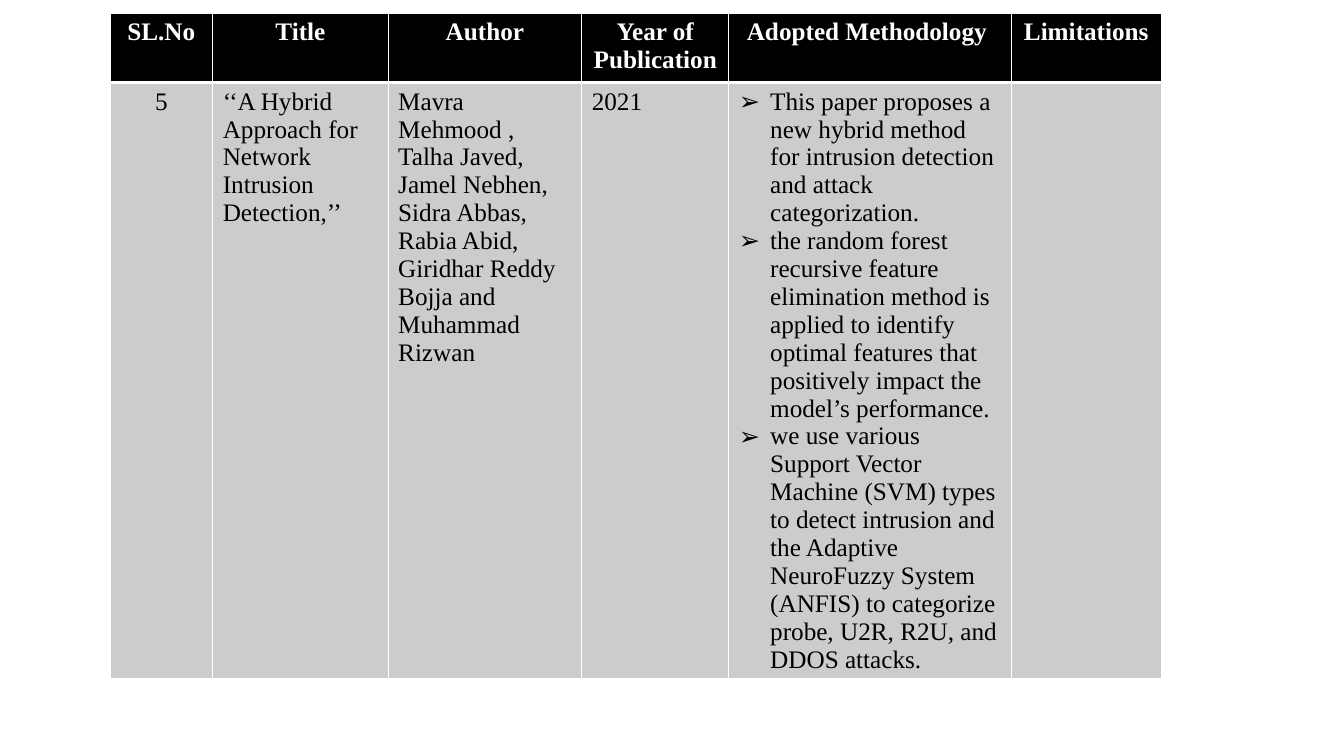
from lxml.etree import SubElement
from pptx import Presentation
from pptx.dml.color import RGBColor
from pptx.enum.text import PP_ALIGN as Align
from pptx.oxml import parse_xml
from pptx.oxml.ns import nsdecls, qn
from pptx.util import Inches, Pt

FONT = "Times New Roman"
COLUMN_WIDTHS = [1.02, 1.74, 1.92, 1.46, 2.8, 1.49]
ROW_HEIGHTS = [0.69, 5.9]
HEADINGS = ["SL.No", "Title", "Author", "Year of Publication",
            "Adopted Methodology ", "Limitations"]
METHODS = [
    "This paper proposes a new hybrid method for intrusion detection and "
    "attack categorization.",
    "the random forest recursive feature elimination method is applied to "
    "identify optimal features that positively impact the model’s performance. ",
    "we use various Support Vector Machine (SVM) types to detect intrusion and "
    "the Adaptive NeuroFuzzy System (ANFIS) to categorize probe, U2R, R2U, and "
    "DDOS attacks. ",
]
PAPER = [
    "5",
    "‘‘A Hybrid Approach for Network Intrusion Detection,’’ ",
    "Mavra Mehmood , Talha Javed, Jamel Nebhen, Sidra Abbas, Rabia Abid, "
    "Giridhar Reddy Bojja and Muhammad Rizwan",
    "2021 ",
    "\n".join(METHODS),
    "",
]


def color(hex_text):
    """Turn a hex string into a colour."""
    return RGBColor.from_string(hex_text)


def add_borders(cell, bottom):
    """Draw white cell borders, with the given bottom width in points."""
    tcPr = cell._tc.get_or_add_tcPr()
    for i, (side, width) in enumerate(zip("LRTB", (1, 1, 1, bottom))):
        tcPr.insert(i, parse_xml(
            f'<a:ln{side} {nsdecls("a")} w="{Pt(width)}"><a:solidFill>'
            f'<a:srgbClr val="FFFFFF"/></a:solidFill></a:ln{side}>'))


def add_bullet(p):
    """Give a paragraph an arrow bullet and a hanging indent."""
    pPr = p._p.get_or_add_pPr()
    pPr.set("marL", str(Inches(0.31)))
    pPr.set("indent", str(-Inches(0.31)))
    SubElement(pPr, qn("a:buFont"), typeface="Arial")
    SubElement(pPr, qn("a:buChar"), char="➢")


def fill_cell(cell, text, header, centered, bulleted):
    """Write and style one table cell."""
    cell.fill.solid()
    cell.fill.fore_color.rgb = color("000000" if header else "CCCCCC")
    add_borders(cell, bottom=3 if header else 1)
    cell.text_frame.text = text
    for p in cell.text_frame.paragraphs:
        p.alignment = Align.CENTER if centered else Align.LEFT
        if bulleted:
            add_bullet(p)
        for r in p.runs:
            r.font.name, r.font.size, r.font.bold = FONT, Pt(18), header
            r.font.color.rgb = color("FFFFFF" if header else "000000")


def add_survey_table(s, left, top, width, height):
    """Add the literature survey table, scaled to the given box."""
    rows = [HEADINGS, PAPER]
    table = s.shapes.add_table(len(rows), len(HEADINGS), Inches(left),
                               Inches(top), Inches(width), Inches(height)).table
    for column, share in zip(table.columns, COLUMN_WIDTHS):
        column.width = Inches(width * share / sum(COLUMN_WIDTHS))
    for row, share in zip(table.rows, ROW_HEIGHTS):
        row.height = Inches(height * share / sum(ROW_HEIGHTS))
    for i, texts in enumerate(rows):
        for j, text in enumerate(texts):
            header = i == 0
            fill_cell(table.cell(i, j), text, header,
                      centered=header or j == 0,
                      bulleted=not header and j == 4)


def main():
    """Build and save the slide."""
    prs = Presentation()
    prs.slide_width, prs.slide_height = Inches(13.33), Inches(7.5)
    s = prs.slides.add_slide(prs.slide_layouts[6])
    add_survey_table(s, 1.09, 0.13, sum(COLUMN_WIDTHS), sum(ROW_HEIGHTS))
    prs.save("out.pptx")


main()
